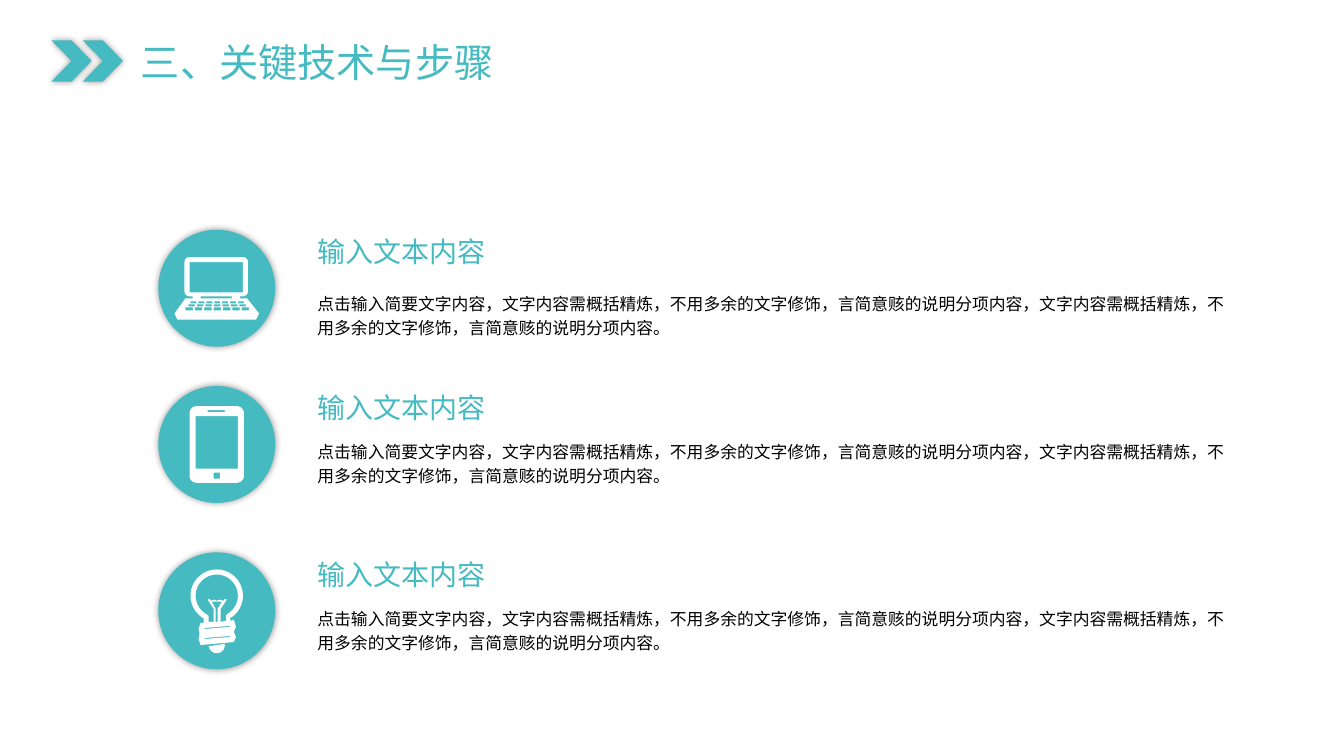
import math

import lxml.etree
import pptx
import pptx.dml.color
import pptx.enum.shapes
import pptx.enum.text
import pptx.oxml
import pptx.oxml.ns
import pptx.util

Inches = pptx.util.Inches
SHAPES = pptx.enum.shapes.MSO_SHAPE

TEAL = pptx.dml.color.RGBColor(0x45, 0xBB, 0xC1)
WHITE = pptx.dml.color.RGBColor(0xFF, 0xFF, 0xFF)
BLACK = pptx.dml.color.RGBColor(0x00, 0x00, 0x00)
TITLE_FONT = "Noto Sans CJK JP"
BODY_FONT = "Noto Sans CJK SC"

PAGE_TITLE = "三、关键技术与步骤"
ITEM_TITLE = "输入文本内容"
ITEM_BODY = (
    "点击输入简要文字内容，文字内容需概括精炼，不用多余的文字修饰，"
    "言简意赅的说明分项内容，文字内容需概括精炼，不用多余的文字修饰，"
    "言简意赅的说明分项内容。"
)
SHADOW = (
    '<a:effectLst xmlns:a="http://schemas.openxmlformats.org/drawingml/2006/main">'
    '<a:outerShdw blurRad="63500" dist="0" dir="0" algn="ctr" rotWithShape="0">'
    '<a:srgbClr val="000000"><a:alpha val="40000"/></a:srgbClr>'
    "</a:outerShdw></a:effectLst>"
)


def add_text(page, text, left, top, width, height, *, size, font,
             color, wrap=False, line_spacing=None):
    box = page.shapes.add_textbox(
        Inches(left), Inches(top), Inches(width), Inches(height))
    frame = box.text_frame
    frame.word_wrap = wrap
    frame.auto_size = pptx.enum.text.MSO_AUTO_SIZE.SHAPE_TO_FIT_TEXT
    para = frame.paragraphs[0]
    if line_spacing:
        para.line_spacing = line_spacing
    span = para.add_run()
    span.text = text
    span.font.size = pptx.util.Pt(size)
    span.font.name = font
    span.font.color.rgb = color
    east_asian = lxml.etree.SubElement(
        span.font._element, pptx.oxml.ns.qn("a:ea"))
    east_asian.set("typeface", font)


def paint(shape, color):
    shape.shadow.inherit = False
    shape.fill.solid()
    shape.fill.fore_color.rgb = color
    shape.line.fill.background()


def add_shadowed(page, kind, left, top, width, height):
    shape = page.shapes.add_shape(
        kind, Inches(left), Inches(top), Inches(width), Inches(height))
    paint(shape, TEAL)
    properties = shape._element.spPr
    properties.remove(properties.find(pptx.oxml.ns.qn("a:effectLst")))
    properties.append(pptx.oxml.parse_xml(SHADOW))


def arc(center_x, center_y, radius, start, end, steps=36):
    angles = [math.radians(start + (end - start) * step / steps)
              for step in range(steps + 1)]
    return [(center_x + radius * math.cos(angle),
             center_y + radius * math.sin(angle)) for angle in angles]


def rectangle(left, top, right, bottom):
    return [(left, top), (right, top), (right, bottom), (left, bottom)]


def rounded(left, top, right, bottom, radius):
    corners = rectangle(left + radius, top + radius,
                        right - radius, bottom - radius)
    return [point for index, (x, y) in enumerate(corners)
            for point in arc(x, y, radius, 180 + 90 * index,
                             270 + 90 * index, steps=6)]


def laptop():
    contours = [
        rounded(0.26, 0.27, 0.89, 0.66, 0.05),
        rectangle(0.31, 0.32, 0.84, 0.62),
        rectangle(0.34, 0.66, 0.42, 0.68),
        rectangle(0.73, 0.66, 0.81, 0.68),
        [(0.27, 0.68), (0.88, 0.68), (1, 0.83),
         (0.97, 0.89), (0.19, 0.89), (0.16, 0.83)],
    ]
    key_count, gap = 7, 0.02
    for top, bottom, left, right in ((0.71, 0.73, 0.32, 0.85),
                                     (0.74, 0.76, 0.3, 0.87),
                                     (0.77, 0.8, 0.27, 0.9)):
        pitch = (right - left + gap) / key_count
        for key in range(key_count):
            start = left + key * pitch
            contours.append(rectangle(start, top, start + pitch - gap, bottom))
    return contours


def tablet():
    return [
        rounded(0.31, 0.2, 0.85, 0.96, 0.07),
        rectangle(0.37, 0.3, 0.79, 0.82),
        rectangle(0.49, 0.24, 0.66, 0.26),
        rectangle(0.55, 0.86, 0.61, 0.92),
    ]


def bulb():
    outline = arc(0.58, 0.43, 0.26, 120, 420) + [
        (0.72, 0.68), (0.75, 0.67), (0.77, 0.74), (0.75, 0.79),
        (0.77, 0.84), (0.75, 0.89), (0.42, 0.92), (0.4, 0.86),
        (0.41, 0.81), (0.4, 0.76), (0.42, 0.7), (0.45, 0.7)]
    glass = arc(0.58, 0.43, 0.21, 120, 420) + [
        (0.67, 0.63), (0.67, 0.68), (0.62, 0.69), (0.62, 0.56),
        (0.68, 0.47), (0.66, 0.46), (0.65, 0.48), (0.61, 0.47),
        (0.58, 0.48), (0.56, 0.47), (0.52, 0.48), (0.51, 0.46),
        (0.49, 0.47), (0.55, 0.56), (0.55, 0.69), (0.5, 0.69), (0.5, 0.63)]
    filament = [(0.53, 0.49), (0.63, 0.49), (0.59, 0.56),
                (0.59, 0.69), (0.57, 0.69), (0.57, 0.56)]
    grooves = [[(0.46, y), (0.71, y - 0.02), (0.71, y - 0.01), (0.46, y + 0.01)]
               for y in (0.75, 0.85)]
    tip = arc(0.58, 0.92, 0.08, -8, 172)
    return [outline, glass, filament, *grooves, tip]


def add_icon(page, left, top, contours):
    placed = [[(Inches(left + x), Inches(top + y)) for x, y in contour]
              for contour in contours]
    builder = page.shapes.build_freeform(*placed[0][0])
    builder.add_line_segments(placed[0][1:], close=True)
    for contour in placed[1:]:
        builder.move_to(*contour[0])
        builder.add_line_segments(contour[1:], close=True)
    paint(builder.convert_to_shape(), WHITE)


def add_header(page, left, top):
    for index in range(2):
        add_shadowed(page, SHAPES.CHEVRON, left + 0.31 * index, top, 0.4, 0.41)
    add_text(page, PAGE_TITLE, left + 0.79, top - 0.07, 3.74, 0.57,
             size=28, font=TITLE_FONT, color=TEAL)


def add_item(page, left, top, contours, body_offset, body_width):
    add_shadowed(page, SHAPES.OVAL, left, top, 1.16, 1.16)
    add_icon(page, left, top, contours)
    text_left = left + 1.48
    add_text(page, ITEM_TITLE, text_left, top, 1.88, 0.44,
             size=20, font=TITLE_FONT, color=TEAL)
    add_text(page, ITEM_BODY, text_left, top + body_offset, body_width, 0.59,
             size=12, font=BODY_FONT, color=BLACK, wrap=True, line_spacing=1.2)


def main():
    deck = pptx.Presentation()
    deck.slide_width = Inches(13.33)
    deck.slide_height = Inches(7.5)
    page = deck.slides.add_slide(deck.slide_layouts[6])
    add_header(page, 0.51, 0.4)
    for top, contours, body_offset, body_width in (
            (2.28, laptop(), 0.54, 9.22),
            (3.83, tablet(), 0.46, 9.22),
            (5.48, bulb(), 0.47, 9.32)):
        add_item(page, 1.57, top, contours, body_offset, body_width)
    deck.save("out.pptx")


if __name__ == "__main__":
    main()
